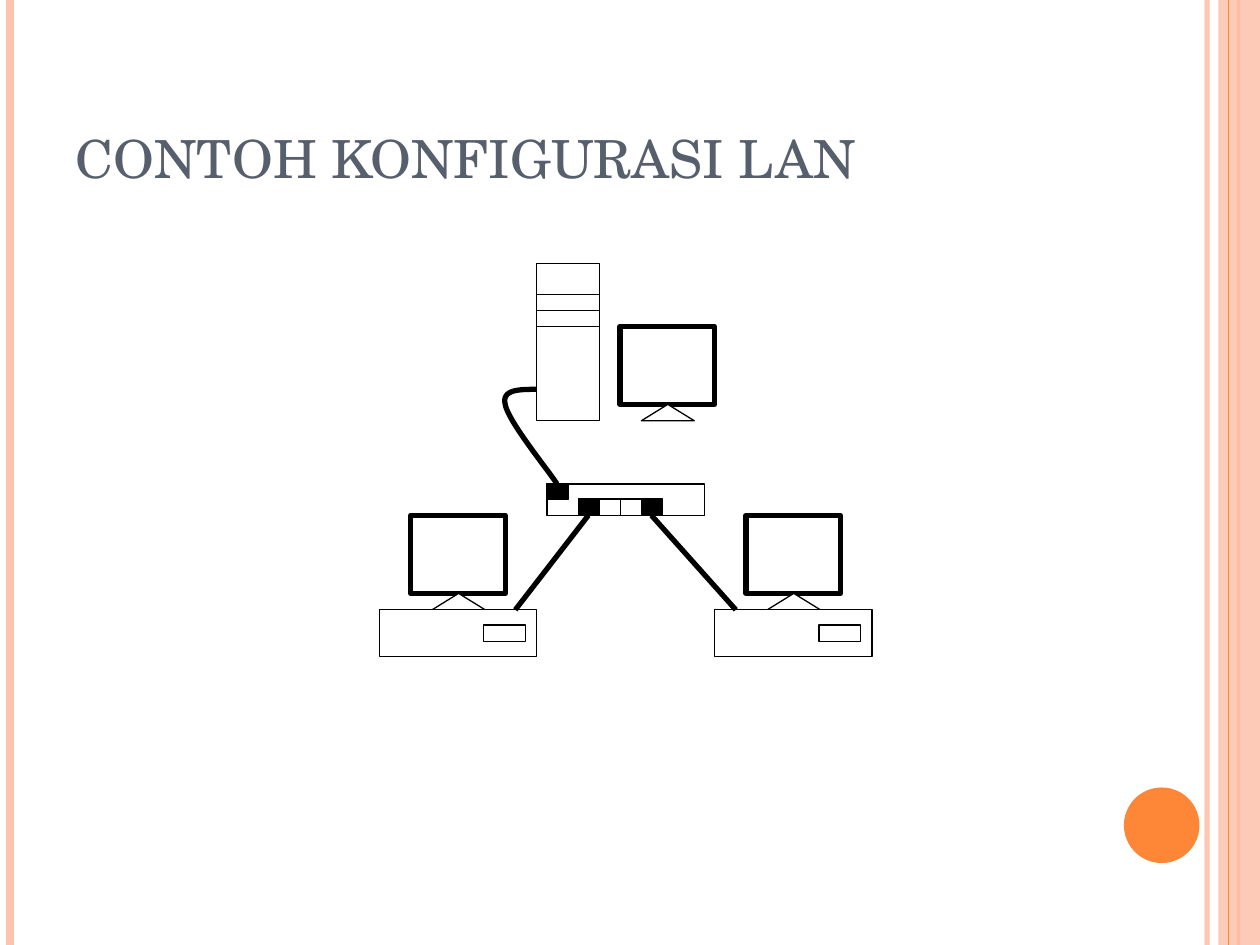
from lxml import etree
from pptx import Presentation
from pptx.dml.color import RGBColor
from pptx.enum.shapes import MSO_CONNECTOR, MSO_SHAPE
from pptx.enum.text import MSO_ANCHOR, MSO_AUTO_SIZE, PP_ALIGN
from pptx.oxml.ns import qn
from pptx.util import Inches, Pt

BLACK = RGBColor(0x00, 0x00, 0x00)
WHITE = RGBColor(0xFF, 0xFF, 0xFF)
PEACH = RGBColor(0xFE, 0xC3, 0xAE)
ORANGE = RGBColor(0xFE, 0x86, 0x37)
SLATE = RGBColor(0x57, 0x5F, 0x6D)
RECT = MSO_SHAPE.RECTANGLE
OVAL = MSO_SHAPE.OVAL
PEAK = MSO_SHAPE.ISOSCELES_TRIANGLE
STRAIGHT = MSO_CONNECTOR.STRAIGHT
BOTTOM = MSO_ANCHOR.BOTTOM
FIXED = MSO_AUTO_SIZE.NONE
LEFT = PP_ALIGN.LEFT
THIN, THICK = 0.74, 3


class Sketch:
    """Draws styled elements on the current slide."""

    def __init__(self, slide, font):
        self.slide = slide
        self.font = font

    def fade(self, fill, alpha):
        color = fill._xPr.find(qn("a:solidFill"))[0]
        etree.SubElement(color, qn("a:alpha")).set("val", str(alpha * 1000))

    def title(self, text, left, top, width, height):
        shape = self.slide.shapes.title
        shape.left, shape.top = Inches(left), Inches(top)
        shape.width, shape.height = Inches(width), Inches(height)
        frame = shape.text_frame
        frame.text = text
        frame.auto_size = FIXED
        frame.vertical_anchor = BOTTOM
        frame.paragraphs[0].alignment = LEFT
        font = frame.paragraphs[0].runs[0].font
        font.name, font.size = self.font, Pt(30)
        font.color.rgb = SLATE

    def shape(self, kind, left, top, width, height, fill=WHITE, line=THIN, alpha=100):
        shape = self.slide.shapes.add_shape(
            kind, Inches(left), Inches(top), Inches(width), Inches(height))
        shape.shadow.inherit = False
        shape.fill.solid()
        shape.fill.fore_color.rgb = fill
        if alpha < 100:
            self.fade(shape.fill, alpha)
        if line:
            shape.line.color.rgb = BLACK
            shape.line.width = Pt(line)
        else:
            shape.line.fill.background()

    def line(self, x1, y1, x2, y2, color=BLACK, width=THIN, alpha=100):
        line = self.slide.shapes.add_connector(
            STRAIGHT, Inches(x1), Inches(y1), Inches(x2), Inches(y2))
        line.line.color.rgb = color
        line.line.width = Pt(width)
        if alpha < 100:
            self.fade(line.line.fill, alpha)
        etree.SubElement(line._element.spPr, qn("a:effectLst"))

    def curve(self, start, bends, steps=16):
        dots = []
        last = start
        for bend in bends:
            ends = (last, *bend)
            for step in range(1, steps + 1):
                t = step / steps
                parts = ((1 - t) ** 3, 3 * t * (1 - t) ** 2, 3 * t * t * (1 - t), t ** 3)
                dots.append(tuple(
                    Inches(sum(part * end[axis] for part, end in zip(parts, ends)))
                    for axis in (0, 1)))
            last = bend[-1]
        pen = self.slide.shapes.build_freeform(Inches(start[0]), Inches(start[1]))
        pen.add_line_segments(dots, close=False)
        shape = pen.convert_to_shape()
        shape.shadow.inherit = False
        shape.fill.background()
        shape.line.color.rgb = BLACK
        shape.line.width = Pt(THICK)

    def screen(self, left, top):
        self.shape(RECT, left, top, 0.75, 0.62, line=THICK)
        self.shape(PEAK, left + 0.17, top + 0.62, 0.42, 0.13)

    def desktop(self, left, top):
        self.screen(left + 0.25, top)
        self.shape(RECT, left, top + 0.75, 1.25, 0.37)
        self.shape(RECT, left + 0.83, top + 0.87, 0.33, 0.13)

    def server(self, left, top):
        self.screen(left + 0.66, top + 0.5)
        self.shape(RECT, left, top, 0.5, 1.25)
        for slot in range(3):
            level = top + 0.25 + slot * 0.125
            self.line(left, level, left + 0.5, level)

    def hub(self, left, top):
        self.shape(RECT, left, top, 1.25, 0.25)
        for port, fill in enumerate((BLACK, WHITE, WHITE, BLACK)):
            self.shape(RECT, left + 0.25 + port / 6, top + 0.12, 0.17, 0.13, fill)
        self.shape(RECT, left, top, 0.17, 0.12, BLACK)


def main():
    deck = Presentation()
    deck.slide_width, deck.slide_height = Inches(10), Inches(7.5)
    slide = deck.slides.add_slide(deck.slide_layouts[5])
    art = Sketch(slide, "TeX Gyre Schola")

    art.line(9.58, 0, 9.58, 7.5, PEACH, 3, 93)
    art.line(0.08, 0, 0.08, 7.5, PEACH, 4.5)
    art.line(9.83, 0, 9.83, 7.5, ORANGE, 1.5)
    art.shape(RECT, 9.67, 0, 0.33, 7.5, PEACH, 0, 87)
    art.line(9.75, 0, 9.75, 7.5, ORANGE)
    art.shape(OVAL, 8.92, 6.25, 0.6, 0.6, ORANGE, 0)
    art.title("CONTOH KONFIGURASI LAN", 0.5, 0.3, 8.17, 1.25)

    art.server(4.26, 2.09)
    for left in (3.01, 5.67):
        art.desktop(left, 4.09)
    art.hub(4.34, 3.84)
    art.curve((4.26, 3.09), (
        ((4.12, 3.09), (3.98, 3.09), (4.01, 3.21)),
        ((4.03, 3.34), (4.35, 3.73), (4.42, 3.84))))
    for port, end in ((4.67, 4.09), (5.17, 5.84)):
        art.line(port, 4.09, end, 4.84, width=THICK)

    deck.save("out.pptx")


main()
